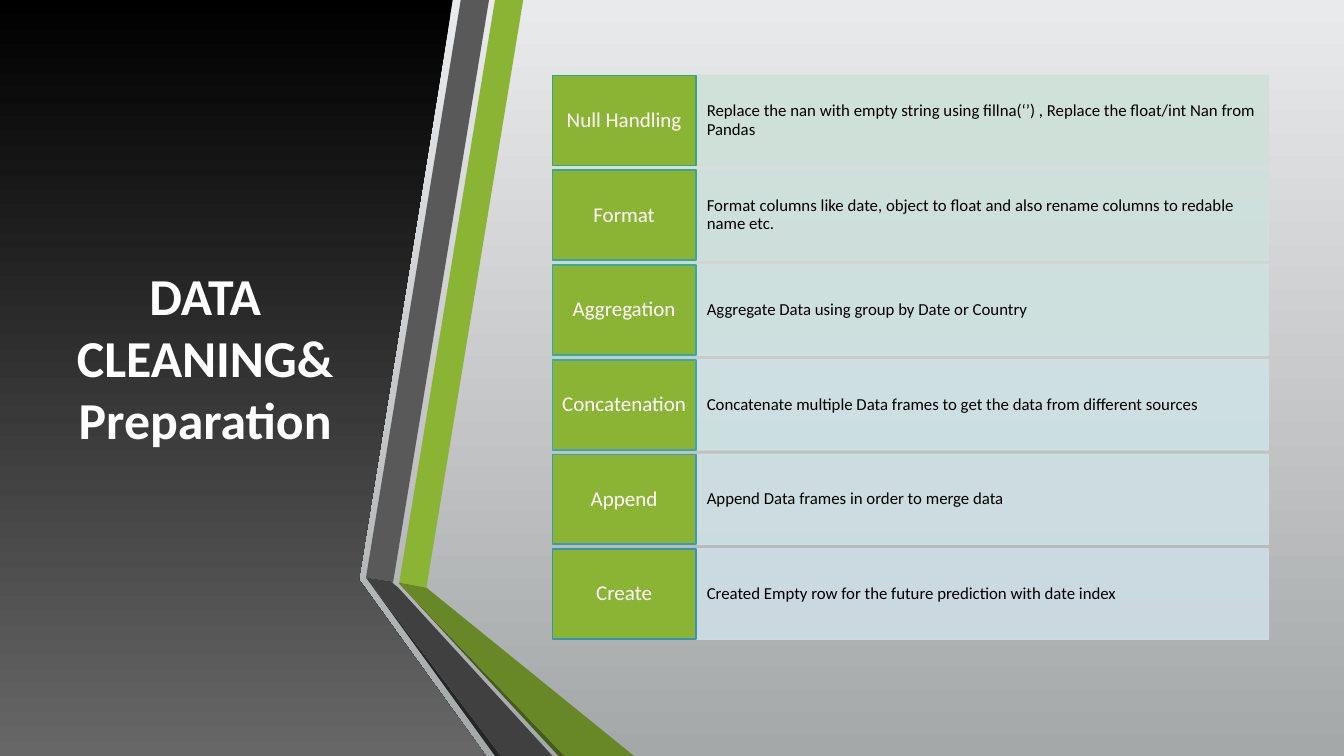
from lxml import etree
from pptx import Presentation
from pptx.dml.color import RGBColor
from pptx.enum.shapes import MSO_SHAPE as SHAPE
from pptx.enum.text import MSO_ANCHOR as ANCHOR, PP_ALIGN as ALIGN
from pptx.oxml.ns import qn
from pptx.util import Inches, Pt

WIDTH, HEIGHT = 13.33, 7.5
FONT = "Calibri"
COLORS = {
    "bg_top": "E9EAEB", "bg_bottom": "A5A8A9",
    "panel_top": "000000", "panel_bottom": "676767",
    "green": "8BB434", "green_dark": "688727", "green_edge": "465A1A",
    "gray": "595959", "gray_dark": "404040", "gray_edge": "262626",
    "white": "FFFFFF", "black": "000000",
}
PANEL = [(0, 0), (449, 0), (356, 575), (482, 750), (0, 750)]
RIBBONS = [
    ("green", [(33, 578), (60, 583), (156, 0), (128, 0)]),
    ("gray", [(122, 0), (94, 0), (0, 573), (27, 577)]),
    ("gray_edge", [(0, 573), (128, 750), (134, 750)]),
    ("green_edge", [(33, 579), (191, 750), (197, 750)]),
    ("green_dark", [(33, 579), (197, 750), (266, 750), (60, 583), (33, 578)]),
    ("gray_dark", [(185, 750), (32, 583), (26, 578), (27, 577), (0, 573), (134, 750)]),
]
STEPS = [
    ("Null Handling", "Replace the nan with empty string using fillna(‘’) , "
     "Replace the float/int Nan from Pandas", "33A583", "CEE1D9"),
    ("Format", "Format columns like date, object to float and also rename "
     "columns to redable name etc.", "33A892", "CEE1DC"),
    ("Aggregation", "Aggregate Data using group by Date or Country", "34ABA2", "CEE2E0"),
    ("Concatenation", "Concatenate multiple Data frames to get the data from "
     "different sources", "34AAAE", "CEE2E3"),
    ("Append", "Append Data frames in order to merge data", "359FB1", "CEE0E4"),
    ("Create", "Created Empty row for the future prediction with date index",
     "3594B4", "CEDDE5"),
]


def rgb(value):
    """Return the colour for a palette name or a hex string."""
    return RGBColor.from_string(COLORS.get(value, value))


def set_gradient(fill, top, bottom):
    """Fill with a vertical gradient from top to bottom."""
    fill.gradient()
    fill.gradient_angle = 270
    for stop, color in zip(fill.gradient_stops, (top, bottom)):
        stop.color.rgb = rgb(color)


def set_opacity(sp, percent):
    """Make the solid fill and line of a shape partly transparent."""
    for clr in sp._element.spPr.iter(qn("a:srgbClr")):
        etree.SubElement(clr, qn("a:alpha")).set("val", str(percent * 1000))


def add_outline(s, points, left=0, top=0):
    """Draw a closed outline given in hundredths of an inch from left, top."""
    builder = s.shapes.build_freeform(*points[0], scale=Inches(0.01))
    builder.add_line_segments(points[1:], close=True)
    sp = builder.convert_to_shape(Inches(left), Inches(top))
    sp.shadow.inherit = False
    sp.line.fill.background()
    return sp


def write(sp, text, size, color, align, margins, bold=False, spacing=None):
    """Put one centred-in-height paragraph into a shape."""
    tf = sp.text_frame
    tf.word_wrap = True
    tf.vertical_anchor = ANCHOR.MIDDLE
    tf.margin_left = tf.margin_right = Inches(margins[0])
    tf.margin_top = tf.margin_bottom = Inches(margins[1])
    p = tf.paragraphs[0]
    p.text = text
    p.alignment = align
    p.line_spacing = spacing
    p.font.name, p.font.size, p.font.bold = FONT, Pt(size), bold
    p.font.color.rgb = rgb(color)


def add_cell(s, box, fill, line):
    """Add an outlined rectangle in the given box."""
    sp = s.shapes.add_shape(SHAPE.RECTANGLE, *map(Inches, box))
    sp.shadow.inherit = False
    sp.fill.solid()
    sp.fill.fore_color.rgb = rgb(fill)
    sp.line.color.rgb = rgb(line)
    sp.line.width = Pt(1.25)
    return sp


def add_title_panel(s, left, top, width, height):
    """Draw the dark panel with the title in its box."""
    panel = add_outline(s, PANEL)
    set_gradient(panel.fill, "panel_top", "panel_bottom")
    title = s.shapes.add_textbox(*map(Inches, (left, top, width, height)))
    write(title, "DATA CLEANING&\vPreparation", 37, "white", ALIGN.CENTER,
          (0.1, 0.05), bold=True)


def add_ribbons(s, left, top):
    """Draw the folded ribbons from the given corner."""
    for color, points in RIBBONS:
        sp = add_outline(s, points, left, top)
        sp.fill.solid()
        sp.fill.fore_color.rgb = rgb(color)


def add_steps(s, left, top, width, height):
    """Stack the steps in the box: a label and its description per row."""
    pitch = height / (len(STEPS) - 0.05)
    row_h, label_w = pitch * 0.95, width * 0.2
    for i, (label, detail, edge, tint) in enumerate(STEPS):
        y = top + i * pitch
        sp = add_cell(s, (left + label_w, y, width - label_w, row_h), tint, tint)
        set_opacity(sp, 90)
        write(sp, detail, 12, "black", ALIGN.LEFT, (0.11, 0.23), spacing=0.9)
        sp = add_cell(s, (left, y, label_w, row_h), "green", edge)
        write(sp, label, 15, "white", ALIGN.CENTER, (0.08, 0.09), spacing=0.9)


def main():
    """Build and save the slide."""
    prs = Presentation()
    prs.slide_width, prs.slide_height = Inches(WIDTH), Inches(HEIGHT)
    s = prs.slides.add_slide(prs.slide_layouts[6])
    set_gradient(s.background.fill, "bg_top", "bg_bottom")
    add_title_panel(s, 0.59, 0.75, 2.89, 5.58)
    add_ribbons(s, 3.63, 0)
    add_steps(s, 5.48, 0.75, 7.1, 5.59)
    prs.save("out.pptx")


if __name__ == "__main__":
    main()
